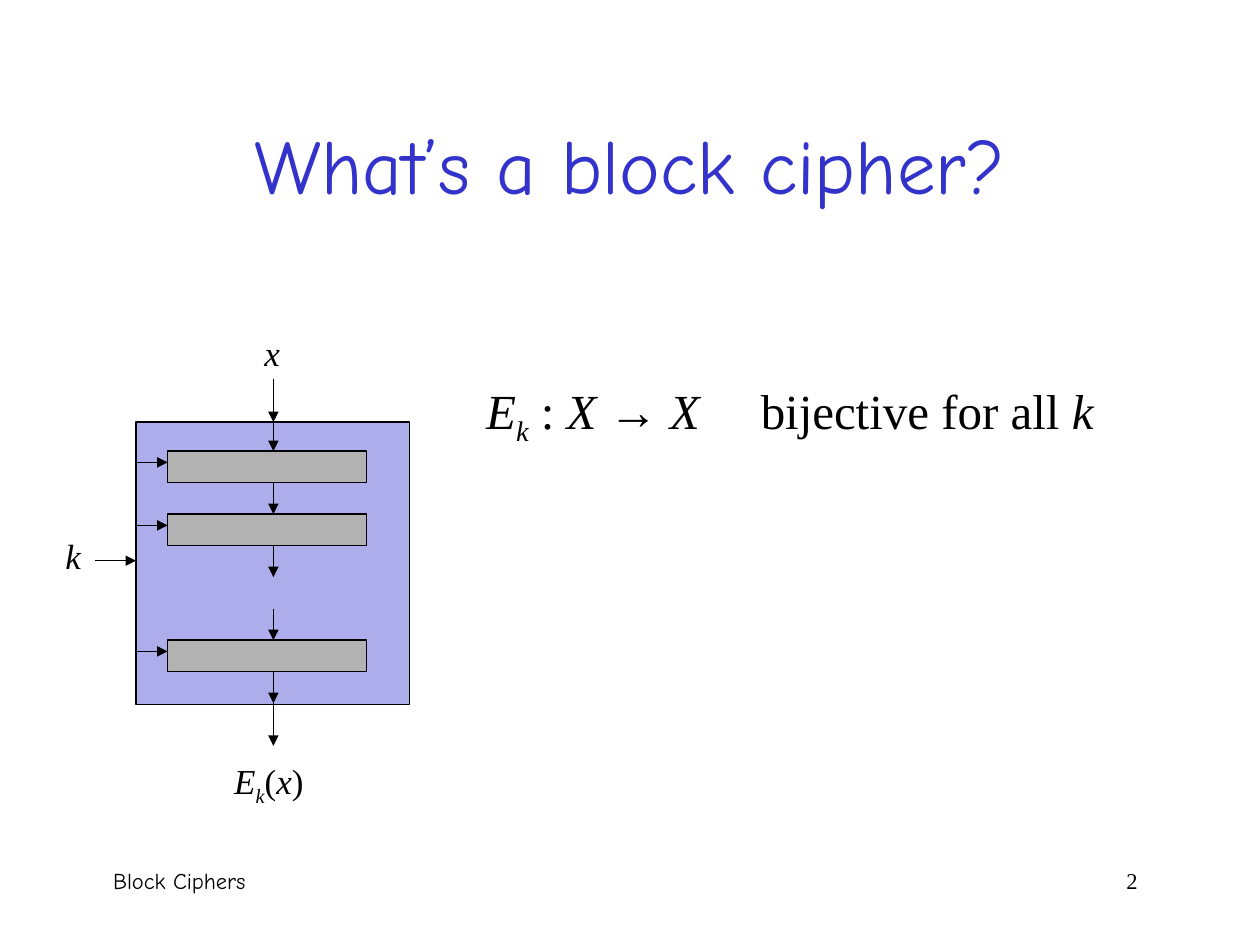
from lxml import etree
from pptx import Presentation
from pptx.dml.color import RGBColor
from pptx.enum import shapes, text
from pptx.oxml import ns
from pptx.util import Inches, Pt

HUES = {"ink": "000000", "title": "3333CC", "block": "ADADEB", "round": "B2B2B2"}
SERIF, COMIC = "Times New Roman", "Comic Neue"

deck = Presentation()
deck.slide_width, deck.slide_height = Inches(10), Inches(7.5)
slide = deck.slides.add_slide(deck.slide_layouts[6])


def write(runs, left, top, width, height, size, face=SERIF, hue="ink",
          align="LEFT", anchor="TOP", wrap=False, tab=None):
    box = slide.shapes.add_textbox(*map(Inches, (left, top, width, height)))
    frame = box.text_frame
    frame.word_wrap = wrap
    frame.vertical_anchor = getattr(text.MSO_ANCHOR, anchor)
    para = frame.paragraphs[0]
    para.alignment = getattr(text.PP_ALIGN, align)
    if tab:
        stops = etree.SubElement(para._p.get_or_add_pPr(), ns.qn("a:tabLst"))
        etree.SubElement(stops, ns.qn("a:tab"), pos=str(Inches(tab[0])), algn=tab[1])
    for words, style in runs:
        run = para.add_run()
        run.text = words
        font = run.font
        font.size = Pt(size)
        font.name = SERIF if style == "serif" else face
        font.color.rgb = RGBColor.from_string(HUES[hue])
        font.italic = style in ("ital", "sub")
        if style == "sub":
            run._r.get_or_add_rPr().set("baseline", "-25000")


def draw(kind, *spot, fill=None):
    spot = map(Inches, spot)
    if kind == "arrow":
        item = slide.shapes.add_connector(shapes.MSO_CONNECTOR.STRAIGHT, *spot)
    else:
        item = slide.shapes.add_shape(shapes.MSO_SHAPE.RECTANGLE, *spot)
        item.shadow.inherit = False
        item.fill.solid()
        item.fill.fore_color.rgb = RGBColor.from_string(HUES[fill])
    item.line.color.rgb = RGBColor.from_string(HUES["ink"])
    item.line.width = Pt(0.75)
    if kind == "arrow":
        etree.SubElement(item.line._get_or_add_ln(), ns.qn("a:tailEnd"), type="triangle")
        etree.SubElement(item._element.spPr, ns.qn("a:effectLst"))


write([("What’s a block cipher?", "")], 0.75, 0.67, 8.5, 1.25, 44, face=COMIC,
      hue="title", align="CENTER", anchor="MIDDLE", wrap=True)
write([("Block Ciphers\t", ""), ("2", "serif")], 0.8, 6.83, 8.53, 0.5, 12.9,
      face=COMIC, wrap=True, tab=(8.13, "r"))

mid, edge, side = 2.17, 1.08, 1.33
draw("box", edge, 3.35, 2.17, 2.24, fill="block")
for top in (3.58, 4.08, 5.08):
    draw("box", side, top, 1.58, 0.25, fill="round")
    draw("arrow", edge, top + 0.09, side, top + 0.09)
for top in (3.33, 3.83, 4.33, 4.83, 5.33):
    draw("arrow", mid, top, mid, top + 0.25)
for top in (3.01, 5.58):
    draw("arrow", mid, top, mid, top + 0.34)
draw("arrow", 0.75, 4.45, edge, 4.45)

write([("x", "ital")], 2, 2.58, 0.32, 0.44, 20)
write([("k", "ital")], 0.42, 4.19, 0.32, 0.44, 20)
write([("E", "ital"), ("k", "sub"), ("(", ""), ("x", "ital"), (")", "")],
      1.76, 5.98, 0.75, 0.48, 20)
write([("E", "ital"), ("k", "sub"), (" : ", ""), ("X", "ital"), (" → ", ""),
       ("X", "ital"), ("\tbijective for all ", ""), ("k", "ital")],
      3.76, 2.97, 5.02, 0.63, 28, tab=(2.18, "l"))

deck.save("out.pptx")
